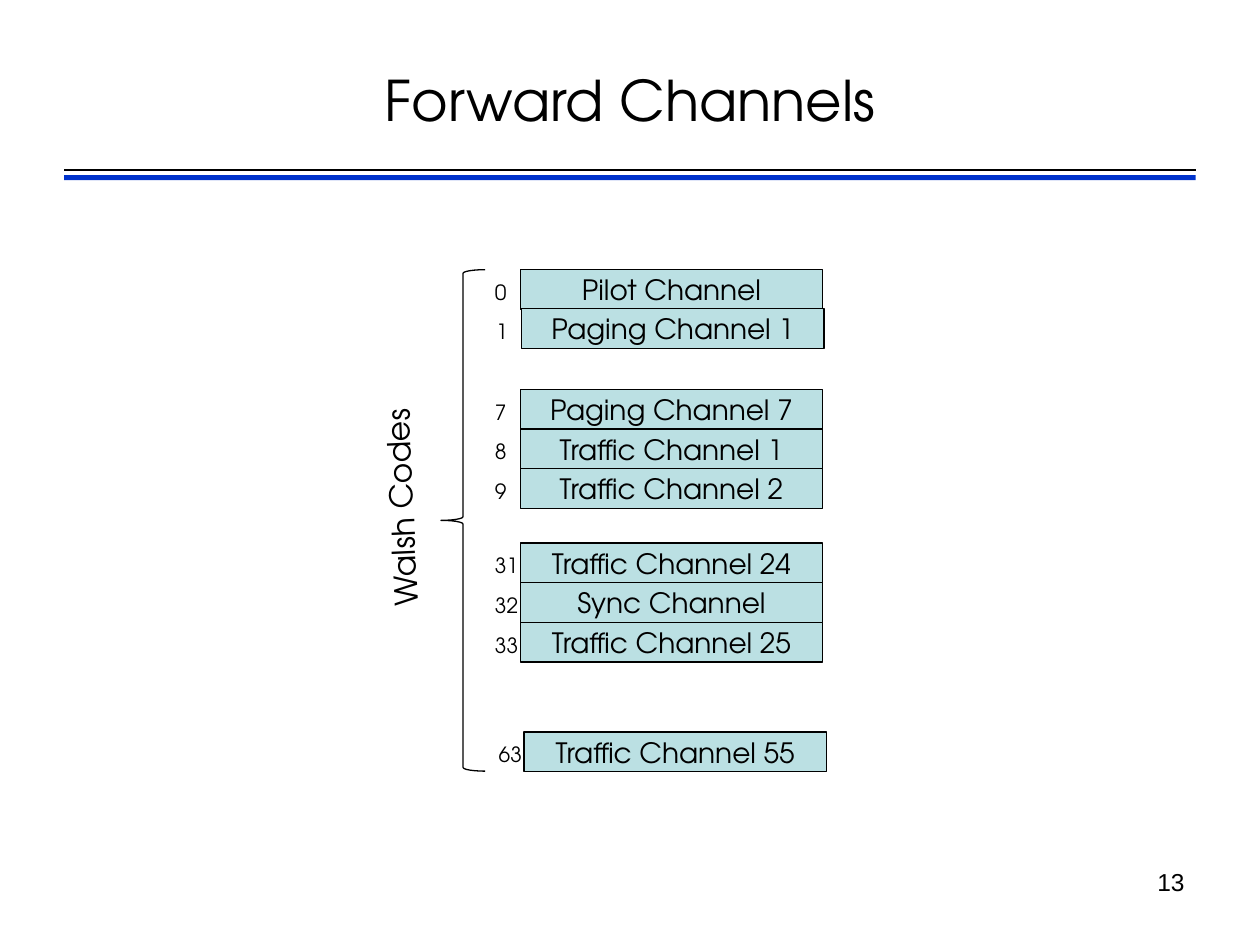
from pptx import Presentation
from pptx.dml.color import RGBColor
from pptx.enum.shapes import MSO_CONNECTOR, MSO_SHAPE
from pptx.enum.text import MSO_ANCHOR, PP_ALIGN
from pptx.oxml.ns import qn
from pptx.util import Inches, Pt
from lxml import etree

RECTANGLE, LEFT_BRACE = MSO_SHAPE.RECTANGLE, MSO_SHAPE.LEFT_BRACE
STRAIGHT = MSO_CONNECTOR.STRAIGHT
LEFT, CENTER, RIGHT = PP_ALIGN.LEFT, PP_ALIGN.CENTER, PP_ALIGN.RIGHT
TOP, MIDDLE = MSO_ANCHOR.TOP, MSO_ANCHOR.MIDDLE

FONT = "TeX Gyre Adventor"
BLACK, BLUE, PALE_BLUE = "000000", "0033CC", "BBE0E3"
ROW_HEIGHT = 0.315

# Left and top of each stack of channels, with its Walsh codes and names
STACKS = [
    (4.13, 2.14, [(0, "Pilot Channel")]),
    (4.14, 2.45, [(1, "Paging Channel 1")]),
    (4.13, 3.09, [(7, "Paging Channel 7"), (8, "Traffic Channel 1"),
                  (9, "Traffic Channel 2")]),
    (4.13, 4.31, [(31, "Traffic Channel 24"), (32, "Sync Channel"),
                  (33, "Traffic Channel 25")]),
    (4.16, 5.81, [(63, "Traffic Channel 55")]),
]


def color(code):
    return RGBColor.from_string(code)


def write(shape, text, size, font=FONT, align=LEFT, anchor=TOP, wrap=False):
    frame = shape.text_frame
    frame.word_wrap = wrap
    frame.vertical_anchor = anchor
    para = frame.paragraphs[0]
    para.alignment = align
    span = para.add_run()
    span.text = text
    span.font.name = font
    span.font.size = Pt(size)
    span.font.color.rgb = color(BLACK)


def add_text(page, box, text, size, **style):
    label = page.shapes.add_textbox(*map(Inches, box))
    write(label, text, size, **style)
    return label


def add_shape(page, kind, box, fill=None, line=None):
    shape = page.shapes.add_shape(kind, *map(Inches, box))
    shape.shadow.inherit = False
    if fill:
        shape.fill.solid()
        shape.fill.fore_color.rgb = color(fill)
    else:
        shape.fill.background()
    if line:
        shape.line.color.rgb = color(line)
        shape.line.width = Pt(0.75)
    else:
        shape.line.fill.background()
    return shape


def add_line(page, start, end):
    line = page.shapes.add_connector(STRAIGHT, *map(Inches, start + end))
    line.line.color.rgb = color(BLACK)
    line.line.width = Pt(0.75)
    etree.SubElement(line._element.spPr, qn("a:effectLst"))


def add_title(page, text):
    title = page.shapes.title
    title.left, title.top = Inches(0.5), Inches(0.3)
    title.width, title.height = Inches(9), Inches(0.97)
    write(title, text, 32, align=CENTER, anchor=MIDDLE, wrap=True)


def add_channel(page, left, top, code, name):
    bar = add_shape(page, RECTANGLE, (left, top, 2.4, ROW_HEIGHT),
                    fill=PALE_BLUE, line=BLACK)
    write(bar, name, 16, align=CENTER, anchor=MIDDLE)
    width = 0.3 if code < 10 else 0.4
    add_text(page, (left - 0.3, top + 0.03, width, 0.3), str(code), 12)


def add_walsh_label(page):
    """Vertical label that reads upwards with a slight tilt."""
    label = add_text(page, (2.99, 3.4, 0.5, 1.51), "Walsh Codes", 18)
    label.text_frame._txBody.bodyPr.set("vert", "eaVert")
    label.rotation = 177.5


def main():
    deck = Presentation()
    deck.slide_width, deck.slide_height = Inches(10), Inches(7.5)
    page = deck.slides.add_slide(deck.slide_layouts[5])

    add_shape(page, RECTANGLE, (0.51, 1.39, 8.98, 0.04), fill=BLUE)
    add_line(page, (0.51, 1.35), (9.49, 1.35))
    add_text(page, (7.17, 6.83, 2.33, 0.52), "13", 14, font="Arial",
             align=RIGHT, wrap=True)
    add_title(page, "Forward Channels")

    for left, top, channels in STACKS:
        for row, (code, name) in enumerate(channels):
            add_channel(page, left, top + row * ROW_HEIGHT, code, name)
    add_shape(page, LEFT_BRACE, (3.5, 2.14, 0.35, 3.98), line=BLACK)
    add_walsh_label(page)

    deck.save("out.pptx")


if __name__ == "__main__":
    main()
